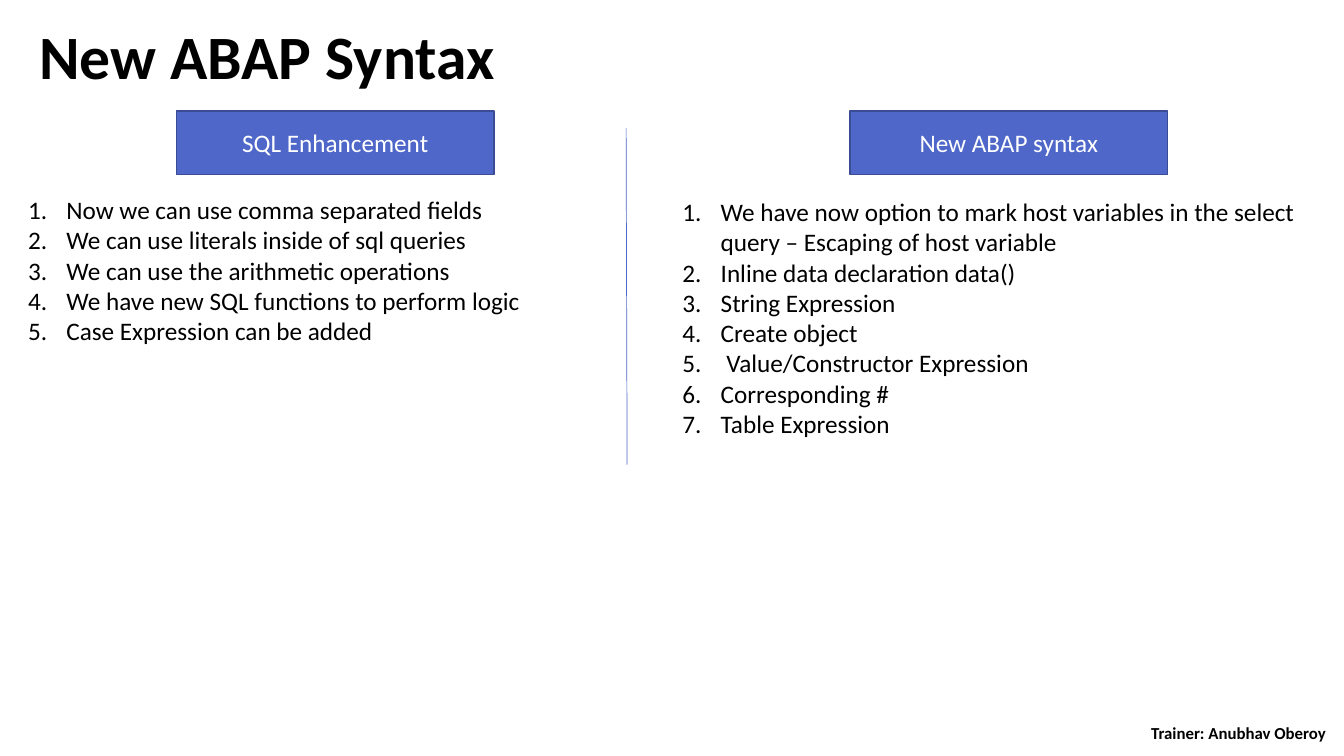
from lxml import etree
from pptx import Presentation
from pptx import util as u
from pptx.dml import color
from pptx.enum import shapes, text
from pptx.oxml import ns

EMU_PER_PX = 9144
BLUE, DARK_BLUE, BLACK, WHITE = "4E67C8", "3A4C94", "000000", "FFFFFF"
COLUMNS = [
    ("SQL Enhancement", 175, (18, 188, 605, 192), [
        "Now we can use comma separated fields",
        "We can use literals inside of sql queries",
        "We can use the arithmetic operations",
        "We have new SQL functions to perform logic",
        "Case Expression can be added",
    ]),
    ("New ABAP syntax", 843, (667, 190, 643, 252), [
        "We have now option to mark host variables in the select query – Escaping of host variable",
        "Inline data declaration data()",
        "String Expression",
        "Create object",
        " Value/Constructor Expression",
        "Corresponding #",
        "Table Expression",
    ]),
]


def px(*lengths):
    """Turn pixel lengths into EMU."""
    return [u.Emu(length * EMU_PER_PX) for length in lengths]


def rgb(value):
    """Turn a hex string into a colour."""
    return color.RGBColor.from_string(value)


def write(shape, lines, size=18, fill=BLACK, bold=False, align=text.PP_ALIGN.LEFT,
          anchor=text.MSO_ANCHOR.TOP, spacing=None, numbered=False):
    """Fill a shape with one formatted paragraph per line."""
    frame = shape.text_frame
    frame.word_wrap = True
    frame.vertical_anchor = anchor
    for index, line in enumerate(lines):
        paragraph = frame.add_paragraph() if index else frame.paragraphs[0]
        paragraph.alignment = align
        paragraph.line_spacing = spacing
        run = paragraph.add_run()
        run.text = line
        run.font.name = "Calibri"
        run.font.size = u.Pt(size)
        run.font.bold = bold
        run.font.color.rgb = rgb(fill)
        if numbered:
            number(paragraph)


def number(paragraph):
    """Give a paragraph an automatic number and a hanging indent."""
    indent = px(38)[0]
    properties = paragraph._p.get_or_add_pPr()
    properties.set("marL", str(indent))
    properties.set("indent", str(-indent))
    etree.SubElement(properties, ns.qn("a:buFont"), typeface="+mj-lt")
    etree.SubElement(properties, ns.qn("a:buAutoNum"), type="arabicPeriod")


def add_text(slide, box, lines, **style):
    """Add a text box with formatted lines."""
    shape = slide.shapes.add_textbox(*px(*box))
    write(shape, lines, **style)
    return shape


def add_heading(slide, box, label):
    """Add a blue rectangle with a centred label."""
    shape = slide.shapes.add_shape(shapes.MSO_SHAPE.RECTANGLE, *px(*box))
    shape.shadow.inherit = False
    shape.fill.solid()
    shape.fill.fore_color.rgb = rgb(BLUE)
    shape.line.color.rgb = rgb(DARK_BLUE)
    shape.line.width = u.Pt(1)
    write(shape, [label], fill=WHITE, align=text.PP_ALIGN.CENTER,
          anchor=text.MSO_ANCHOR.MIDDLE)


def add_divider(slide, ends):
    """Add a thin blue line between two points."""
    line = slide.shapes.add_connector(shapes.MSO_CONNECTOR.STRAIGHT, *px(*ends))
    line.line.color.rgb = rgb(BLUE)
    line.line.width = u.Pt(0.5)
    etree.SubElement(line._element.spPr, ns.qn("a:effectLst"))


def main():
    """Build and save the slide."""
    presentation = Presentation()
    presentation.slide_width, presentation.slide_height = px(1333, 750)
    slide = presentation.slides.add_slide(presentation.slide_layouts[6])
    add_text(slide, (29, 21, 1235, 78), ["New ABAP Syntax"],
             size=44, bold=True, spacing=0.9)
    add_text(slide, (1107, 716, 243, 22), ["Trainer: Anubhav Oberoy"], size=12,
             bold=True, align=text.PP_ALIGN.CENTER, anchor=text.MSO_ANCHOR.MIDDLE)
    for label, left, list_box, items in COLUMNS:
        add_heading(slide, (left, 110, 315, 63), label)
        points = add_text(slide, list_box, items, numbered=True)
        points.text_frame.auto_size = text.MSO_AUTO_SIZE.SHAPE_TO_FIT_TEXT
    add_divider(slide, (621, 127, 622, 461))
    presentation.save("out.pptx")


if __name__ == "__main__":
    main()
